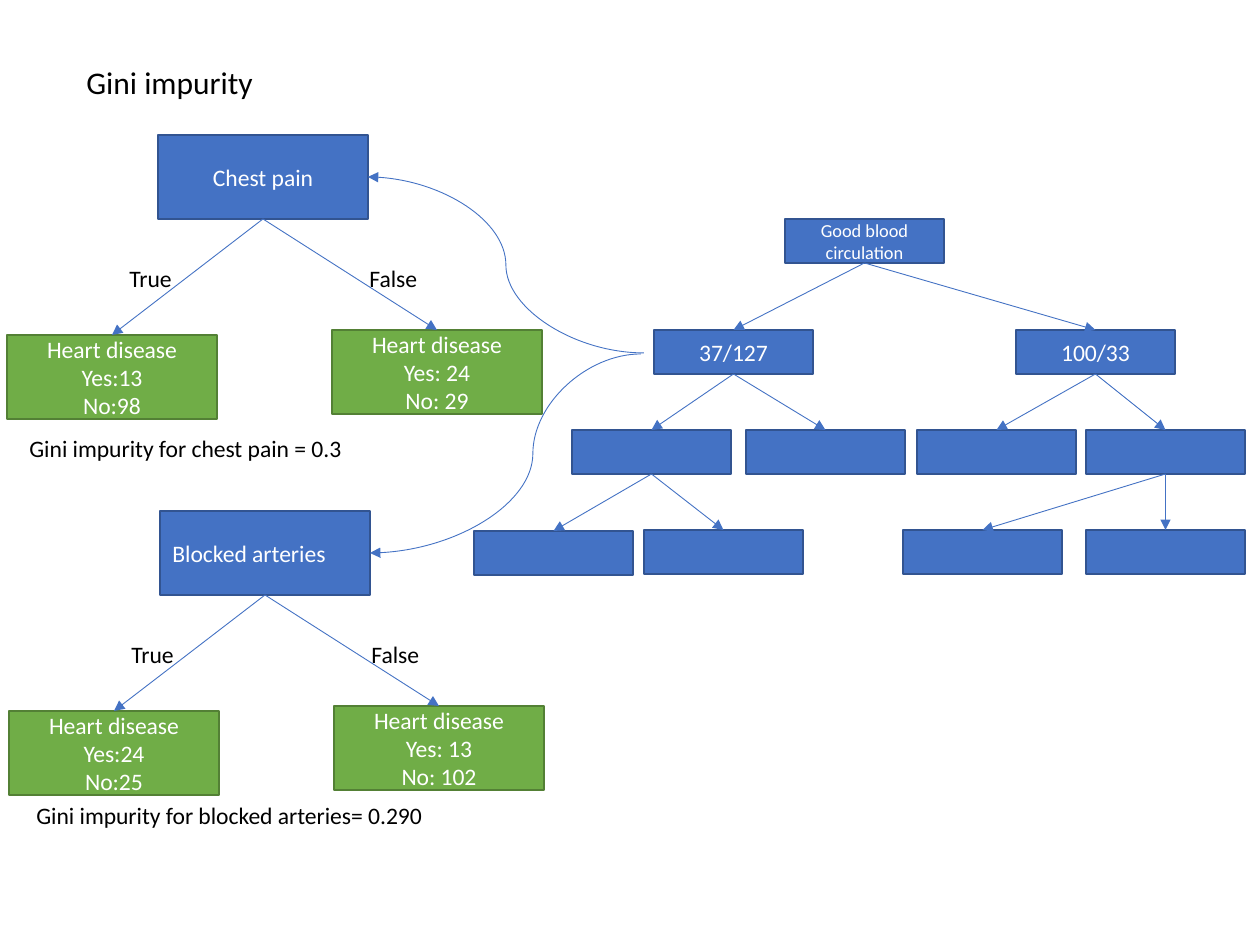
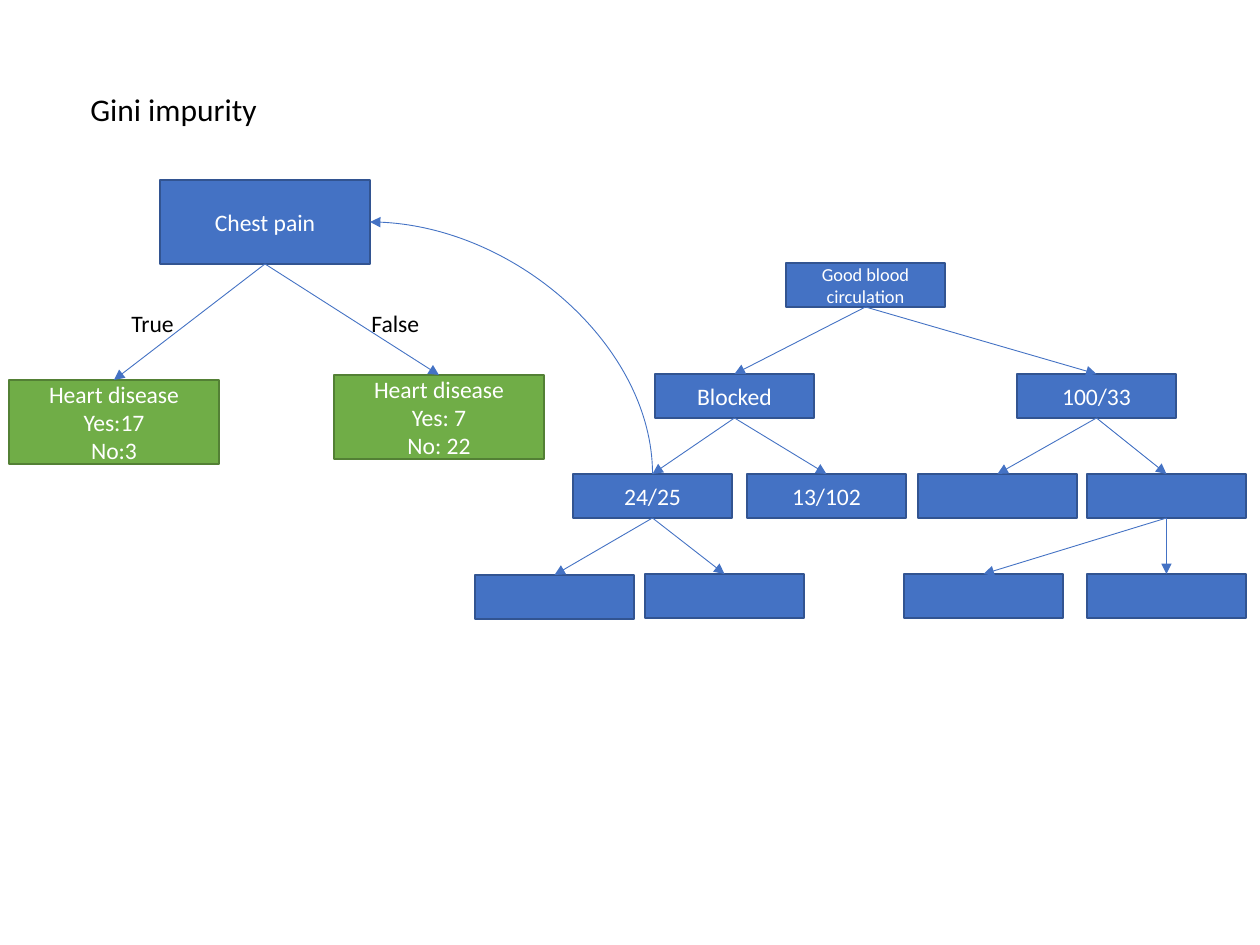
"""Build two slides on Gini impurity: decision stumps beside a growing decision tree."""
from lxml import etree
from pptx import Presentation
from pptx.dml.color import RGBColor
from pptx.enum.shapes import MSO_CONNECTOR as Link, MSO_SHAPE as Shape
from pptx.enum.text import MSO_ANCHOR as Anchor, MSO_AUTO_SIZE as Fit, PP_ALIGN as Align
from pptx.oxml.ns import qn
from pptx.util import Pt

TITLE = "Gini impurity"
ROOT_TEXT = "Good blood circulation"

SLIDES = [
    {
        "title_at": (74, 57),
        "tree_at": (785, 219),
        "tree_text": {"L": "37/127", "R": "100/33"},
        "stumps": [
            {"at": (158, 135), "question": "Chest pain", "align": Align.CENTER,
             "true": ("Yes:13", "No:98"), "false": ("Yes: 24", "No: 29")},
            {"at": (160, 511), "question": "Blocked arteries", "align": Align.LEFT,
             "true": ("Yes:24", "No:25"), "false": ("Yes: 13", "No: 102")},
        ],
        "notes": [
            ("Gini impurity for chest pain = 0.3", (17, 428, 373, 42)),
            ("Gini impurity for blocked arteries= 0.290", (24, 795, 528, 42)),
        ],
        "swings": [((644, 353), 0, 50000), ((641, 354), 1, 39900)],
        "arc": None,
    },
    {
        "title_at": (78, 84),
        "tree_at": (786, 263),
        "tree_text": {"L": "Blocked", "R": "100/33", "LL": "24/25", "LR": "13/102"},
        "stumps": [
            {"at": (160, 180), "question": "Chest pain", "align": Align.CENTER,
             "true": ("Yes:17", "No:3"), "false": ("Yes: 7", "No: 22")},
        ],
        "notes": [],
        "swings": [],
        "arc": "LL",
    },
]

TREE_OFFSETS = {
    "": (0, 0),
    "L": (-131, 111), "R": (231, 111),
    "LL": (-213, 211), "LR": (-39, 211), "RL": (132, 211), "RR": (301, 211),
    "LLL": (-311, 312), "LLR": (-141, 311), "RRL": (118, 311), "RRR": (301, 311),
}
NODE_SIZE = (159, 44)
STUMP_SIZE = (210, 84)
LEAF_OFFSETS = {"true": (-151, 200), "false": (174, 195)}
LABELS = [("True", (-41, 123), (68, 42)), ("False", (199, 123), (74, 42))]

FONT = "Calibri"
BODY, SMALL, HEADING = 13.5, 10.5, 18
BLUE, BLUE_EDGE = "4472C4", "325491"
GREEN, GREEN_EDGE = "70AD47", "538035"
WHITE, BLACK = "FFFFFF", "000000"
TOP, BOTTOM, RIGHT = 0, 2, 3


def px(length):
    return round(length * 914400 / 126)


def color(value):
    return RGBColor.from_string(value)


def shift(origin, offset):
    return origin[0] + offset[0], origin[1] + offset[1]


def write(box, lines, size, ink, align):
    frame = box.text_frame
    for index, line in enumerate(lines):
        para = frame.paragraphs[0] if index == 0 else frame.add_paragraph()
        para.alignment = align
        span = para.add_run()
        span.text = line
        span.font.name = FONT
        span.font.size = Pt(size)
        span.font.color.rgb = color(ink)


def add_box(page, at, size, lines=(), fill=BLUE, edge=BLUE_EDGE, points=BODY,
            align=Align.CENTER):
    box = page.shapes.add_shape(Shape.RECTANGLE, *map(px, (*at, *size)))
    box.shadow.inherit = False
    box.fill.solid()
    box.fill.fore_color.rgb = color(fill)
    box.line.color.rgb = color(edge)
    box.line.width = Pt(1)
    box.text_frame.word_wrap = True
    box.text_frame.vertical_anchor = Anchor.MIDDLE
    write(box, lines, points, WHITE, align)
    return box


def add_text(page, text, area, points=BODY, wrap=True):
    box = page.shapes.add_textbox(*map(px, area))
    box.text_frame.word_wrap = wrap
    box.text_frame.auto_size = Fit.SHAPE_TO_FIT_TEXT
    write(box, [text], points, BLACK, Align.LEFT)


def add_link(page, kind, start=(0, 0), arrow="tailEnd"):
    link = page.shapes.add_connector(kind, *map(px, (*start, 0, 0)))
    link.line.color.rgb = color(BLUE)
    link.line.width = Pt(0.5)
    etree.SubElement(link.line._get_or_add_ln(), qn("a:" + arrow), type="triangle")
    etree.SubElement(link._element.spPr, qn("a:effectLst"))
    return link


def add_branch(page, parent, child):
    link = add_link(page, Link.STRAIGHT)
    link.begin_connect(parent, BOTTOM)
    link.end_connect(child, TOP)


def add_swing(page, start, target, bend):
    link = add_link(page, Link.CURVE, start)
    link.end_connect(target, RIGHT)
    guides = link._element.spPr.find(qn("a:prstGeom")).get_or_add_avLst()
    etree.SubElement(guides, qn("a:gd"), name="adj1", fmla=f"val {bend}")


def add_arc(page, target, source):
    link = add_link(page, Link.CURVE, arrow="headEnd")
    link._element.spPr.find(qn("a:prstGeom")).set("prst", "curvedConnector2")
    link.begin_connect(target, RIGHT)
    link.end_connect(source, TOP)


def add_tree(page, origin, texts):
    nodes = {}
    for name, offset in TREE_OFFSETS.items():
        lines = [texts[name]] if name in texts else []
        points = BODY if name else SMALL
        nodes[name] = add_box(page, shift(origin, offset), NODE_SIZE, lines, points=points)
    for name in nodes:
        if name:
            add_branch(page, nodes[name[:-1]], nodes[name])
    return nodes


def add_stump(page, stump):
    origin = stump["at"]
    root = add_box(page, origin, STUMP_SIZE, [stump["question"]], align=stump["align"])
    for answer, offset in LEAF_OFFSETS.items():
        leaf = add_box(page, shift(origin, offset), STUMP_SIZE,
                       ["Heart disease", *stump[answer]], GREEN, GREEN_EDGE)
        add_branch(page, root, leaf)
    for text, offset, size in LABELS:
        add_text(page, text, (*shift(origin, offset), *size), wrap=False)
    return root


def add_page(deck, content):
    page = deck.slides.add_slide(deck.slide_layouts[6])
    nodes = add_tree(page, content["tree_at"], {"": ROOT_TEXT, **content["tree_text"]})
    roots = [add_stump(page, stump) for stump in content["stumps"]]
    for start, index, bend in content["swings"]:
        add_swing(page, start, roots[index], bend)
    if content["arc"]:
        add_arc(page, roots[0], nodes[content["arc"]])
    for text, area in content["notes"]:
        add_text(page, text, area)
    add_text(page, TITLE, (*content["title_at"], 631, 50), HEADING)


def main():
    deck = Presentation()
    deck.slide_width, deck.slide_height = px(1260), px(945)
    for content in SLIDES:
        add_page(deck, content)
    deck.save("out.pptx")


if __name__ == "__main__":
    main()
